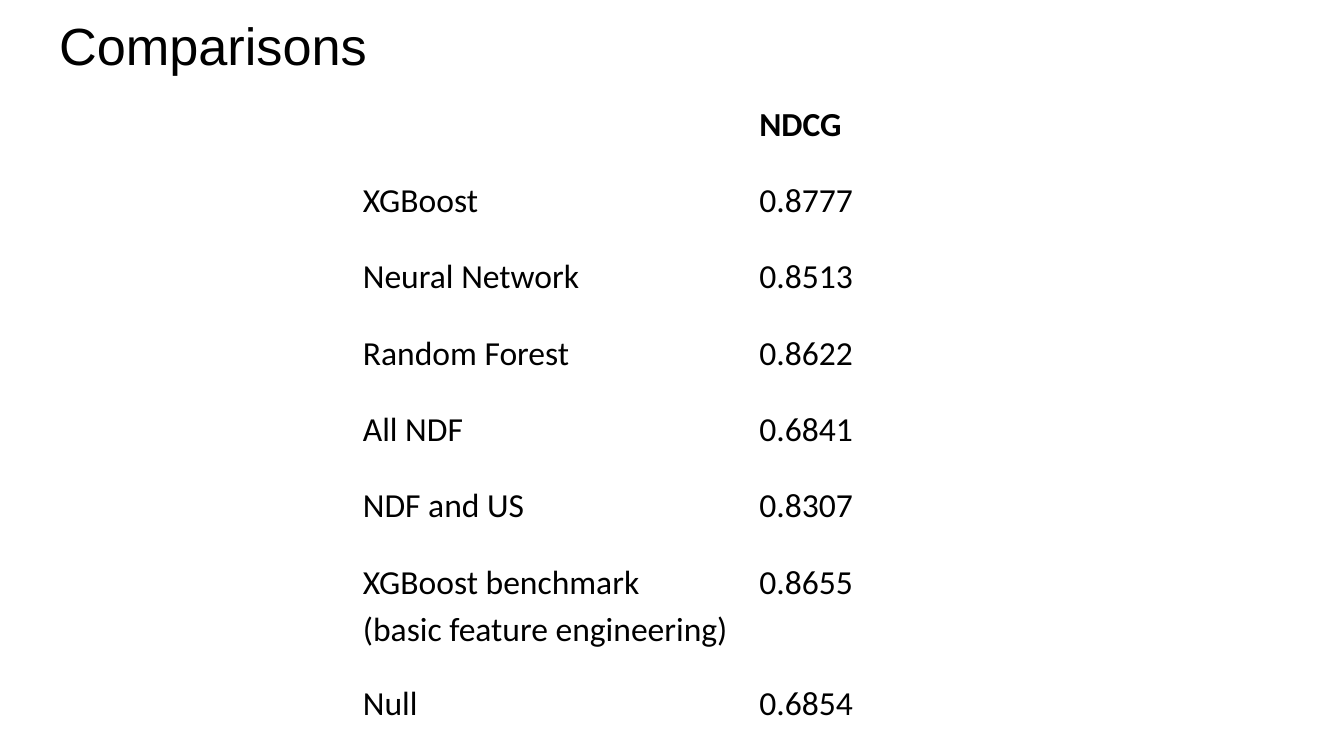
from pptx import Presentation
from pptx.dml.color import RGBColor
from pptx.enum.text import MSO_ANCHOR, PP_ALIGN
from pptx.util import Pt

COLORS = {"text": "000000"}
INSET = 7.2
COLUMN_WIDTHS = (212.4, 133.9)
ROW_HEIGHT = 40.9
TALL_ROW_HEIGHT = 61.2
SCORES = [
    ("", "NDCG"),
    ("XGBoost", "0.8777"),
    ("Neural Network", "0.8513"),
    ("Random Forest", "0.8622"),
    ("All NDF", "0.6841"),
    ("NDF and US", "0.8307"),
    ("XGBoost benchmark\n(basic feature engineering)", "0.8655"),
    ("Null", "0.6854"),
]


def write_text(frame, text, font="Calibri", size=18, bold=False, spacing=1.15):
    """Fill a text frame with one paragraph per line of text."""
    for index, line in enumerate(text.split("\n")):
        para = frame.add_paragraph() if index else frame.paragraphs[0]
        para.alignment = PP_ALIGN.LEFT
        para.line_spacing = spacing
        span = para.add_run()
        span.text = line
        span.font.name = font
        span.font.size = Pt(size)
        span.font.bold = bold
        span.font.color.rgb = RGBColor.from_string(COLORS["text"])


def set_insets(target):
    """Give a text frame or table cell equal margins on all sides."""
    target.margin_left = target.margin_right = Pt(INSET)
    target.margin_top = target.margin_bottom = Pt(INSET)


def add_title(page, text):
    title = page.shapes.title
    title.left, title.top = Pt(24.5), Pt(0)
    title.width, title.height = Pt(671), Pt(45.4)
    frame = title.text_frame
    frame.word_wrap = True
    frame.vertical_anchor = MSO_ANCHOR.TOP
    set_insets(frame)
    write_text(frame, text, font="Arial", size=28, spacing=1.0)


def add_score_table(page, scores):
    heights = [TALL_ROW_HEIGHT if "\n" in name else ROW_HEIGHT
               for name, _ in scores]
    table = page.shapes.add_table(
        len(scores), len(COLUMN_WIDTHS), Pt(187.2), Pt(45.4),
        Pt(sum(COLUMN_WIDTHS)), Pt(sum(heights))).table
    table.first_row = table.horz_banding = False
    for column, width in zip(table.columns, COLUMN_WIDTHS):
        column.width = Pt(width)
    for index, (row, height, texts) in enumerate(
            zip(table.rows, heights, scores)):
        row.height = Pt(height)
        for cell, text in zip(row.cells, texts):
            cell.fill.background()
            cell.vertical_anchor = MSO_ANCHOR.TOP
            set_insets(cell)
            if text:
                write_text(cell.text_frame, text, bold=index == 0)


def main():
    deck = Presentation()
    deck.slide_width, deck.slide_height = Pt(720), Pt(405)
    page = deck.slides.add_slide(deck.slide_layouts[5])
    add_title(page, "Comparisons")
    add_score_table(page, SCORES)
    deck.save("out.pptx")


if __name__ == "__main__":
    main()
